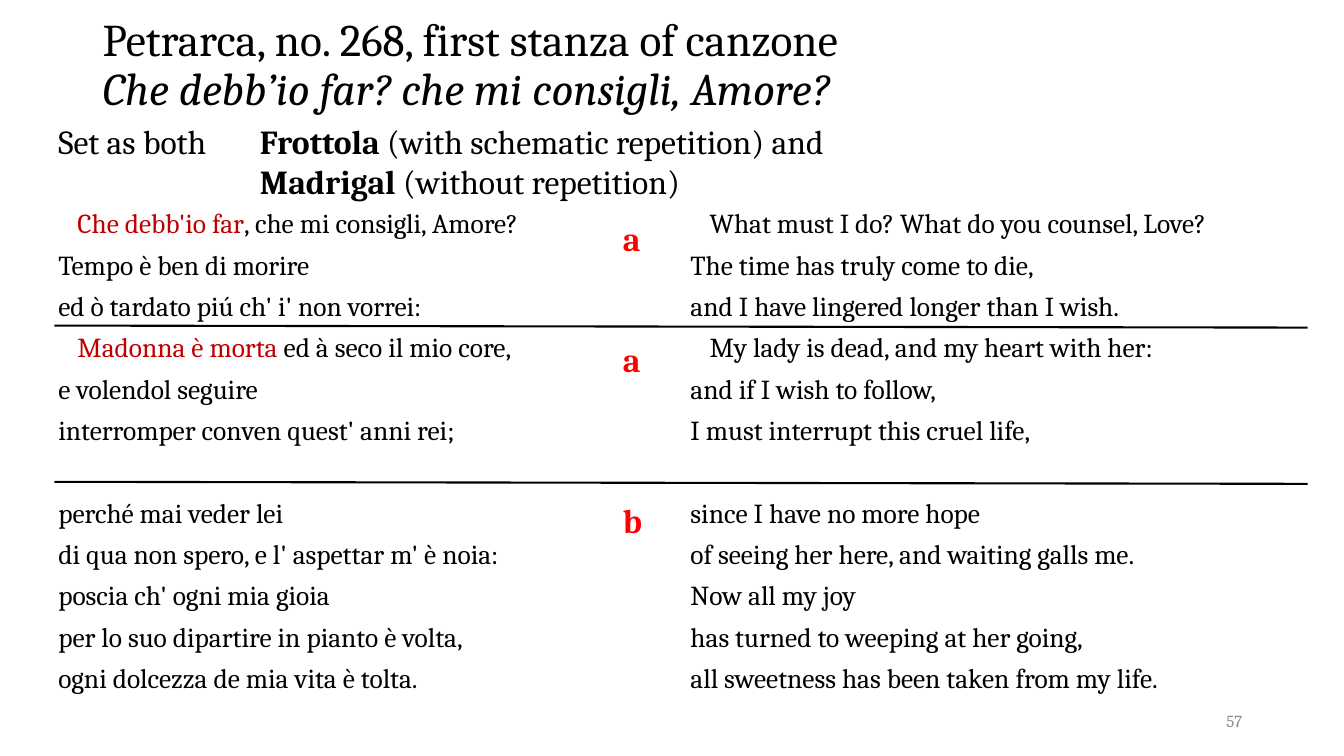
from lxml import etree
from pptx import Presentation
from pptx.dml.color import RGBColor
from pptx.enum.shapes import MSO_CONNECTOR
from pptx.enum.text import MSO_ANCHOR, PP_ALIGN
from pptx.oxml.ns import qn
from pptx.util import Inches, Pt

TOP, MIDDLE = MSO_ANCHOR.TOP, MSO_ANCHOR.MIDDLE
LEFT, RIGHT = PP_ALIGN.LEFT, PP_ALIGN.RIGHT
STRAIGHT = MSO_CONNECTOR.STRAIGHT

FONT = "Cambria"
COLORS = {"text": "000000", "incipit": "C00000", "label": "FF0000", "number": "8C8C8C"}

VERSE_SIZE = 19.6
VERSE_GAP = 6
SECTION_GAP = 35.5  # one empty verse line plus the usual gap
INDENT = 0.19
SECTION_STARTS = (0, 3, 7)

# Each verse is (coloured opening, rest), grouped by musical section.
ITALIAN = [
    [("Che debb'io far", ", che mi consigli, Amore?"),
     ("", "Tempo è ben di morire"),
     ("", "ed ò tardato piú ch' i' non vorrei:")],
    [("Madonna è morta ", "ed à seco il mio core,"),
     ("", "e volendol seguire"),
     ("", "interromper conven quest' anni rei;")],
    [("", "perché mai veder lei"),
     ("", "di qua non spero, e l' aspettar m' è noia:"),
     ("", "poscia ch' ogni mia gioia"),
     ("", "per lo suo dipartire in pianto è volta,"),
     ("", "ogni dolcezza de mia vita è tolta.")],
]
ENGLISH = [
    [("", "What must I do? What do you counsel, Love?"),
     ("", "The time has truly come to die,"),
     ("", "and I have lingered longer than I wish.")],
    [("", "My lady is dead, and my heart with her:"),
     ("", "and if I wish to follow,"),
     ("", "I must interrupt this cruel life,")],
    [("", "since I have no more hope"),
     ("", "of seeing her here, and waiting galls me."),
     ("", "Now all my joy"),
     ("", "has turned to weeping at her going,"),
     ("", "all sweetness has been taken from my life.")],
]


def color(name):
    return RGBColor.from_string(COLORS[name])


def add_frame(page, box, anchor=TOP):
    """Add a wrapping text box at box (left, top, width, height) in inches."""
    frame = page.shapes.add_textbox(*map(Inches, box)).text_frame
    frame.word_wrap = True
    frame.vertical_anchor = anchor
    return frame


def next_para(frame, first):
    return frame.paragraphs[0] if first else frame.add_paragraph()


def set_indent(para, margin, first_line):
    properties = para._p.get_or_add_pPr()
    properties.set("marL", str(Inches(margin)))
    properties.set("indent", str(Inches(first_line)))


def style(para, size, color_name="text", bold=False, italic=False):
    font = para.font
    font.name, font.size = FONT, Pt(size)
    font.bold, font.italic = bold, italic
    font.color.rgb = color(color_name)


def add_line(page, box, text, size, color_name="text", bold=False,
             align=LEFT, anchor=TOP):
    """Add a text box holding one line."""
    para = add_frame(page, box, anchor).paragraphs[0]
    para.text, para.alignment = text, align
    style(para, size, color_name, bold)


def add_title(page, box):
    frame = add_frame(page, box, MIDDLE)
    lines = ("Petrarca, no. 268, first stanza of canzone",
             "Che debb’io far? che mi consigli, Amore?")
    for index, text in enumerate(lines):
        para = next_para(frame, index == 0)
        para.text, para.line_spacing = text, 0.9
        style(para, 32.4, italic=index == 1)


def add_settings(page, box):
    """Name the two musical settings, aligned after a hanging indent."""
    para = add_frame(page, box).paragraphs[0]
    set_indent(para, 2, -2)
    style(para, 24)
    para.add_run().text = "Set as both\t"
    settings = (("Frottola", " (with schematic repetition) and"),
                ("Madrigal", " (without repetition)"))
    for index, (name, remark) in enumerate(settings):
        if index:
            para.add_line_break()
        span = para.add_run()
        span.text, span.font.bold = name, True
        para.add_run().text = remark


def add_stanza(page, box, sections):
    frame = add_frame(page, box)
    for number, verses in enumerate(sections):
        for index, (opening, rest) in enumerate(verses):
            first = number == index == 0
            para = next_para(frame, first)
            if index == 0 and number < 2:
                set_indent(para, 0, INDENT)
            if not first:
                new_part = number == 2 and index == 0
                para.space_before = Pt(SECTION_GAP if new_part else VERSE_GAP)
            style(para, VERSE_SIZE)
            if opening:
                span = para.add_run()
                span.text = opening
                span.font.color.rgb = color("incipit")
            para.add_run().text = rest


def add_labels(page, box):
    """Place the section letters beside the verse that opens each section."""
    left, top, width, pitch = box
    for letter, line in zip("aab", SECTION_STARTS):
        add_line(page, (left, top + line * pitch, width, 0.5), letter, 24, "label", True)


def add_rule(page, left, top, width):
    rule = page.shapes.add_connector(
        STRAIGHT, *map(Inches, (left, top, left + width, top + 0.02)))
    rule.line.color.rgb = color("text")
    rule.line.width = Pt(1.5)
    etree.SubElement(rule._element.spPr, qn("a:effectLst"))


def main():
    deck = Presentation()
    deck.slide_width, deck.slide_height = Inches(13.33), Inches(7.5)
    page = deck.slides.add_slide(deck.slide_layouts[6])
    add_title(page, (0.92, 0.1, 11.5, 1.12))
    add_stanza(page, (0.48, 2, 5.41, 5.29), ITALIAN)
    add_stanza(page, (6.75, 2, 6.31, 5.29), ENGLISH)
    add_labels(page, (6.08, 2.11, 0.47, 0.4))
    for top in (3.23, 4.78):
        add_rule(page, 0.54, top, 12.43)
    add_line(page, (9.42, 6.95, 3, 0.4), "57", 12, "number", align=RIGHT, anchor=MIDDLE)
    add_settings(page, (0.48, 1.15, 10.49, 0.91))
    deck.save("out.pptx")


if __name__ == "__main__":
    main()
